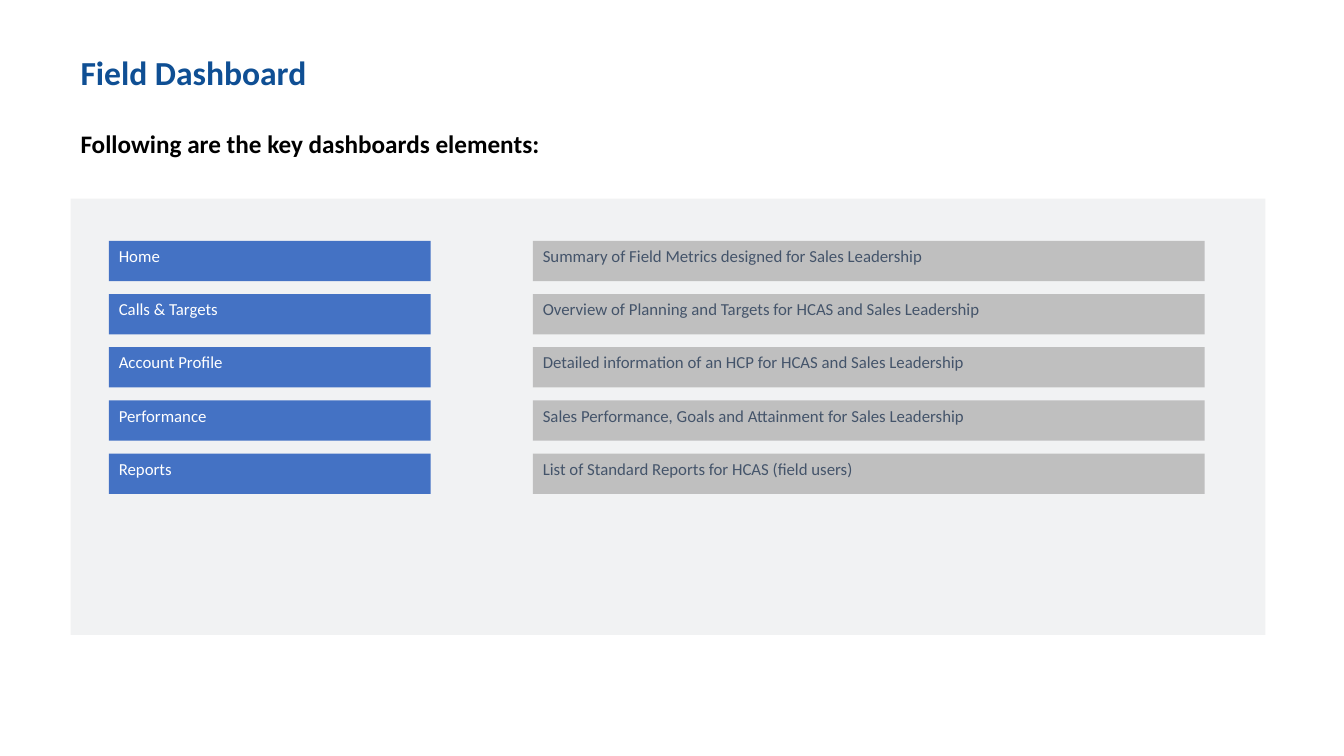
"""Build the Field Dashboard slide, with lengths in percent of the slide's size."""
from dataclasses import dataclass

from pptx import Presentation
from pptx import util as u
from pptx.dml import color
from pptx.enum import shapes, text
from pptx.shapes.autoshape import Shape
from pptx.slide import Slide

WIDE, HIGH = u.Inches(13.33), u.Inches(7.5)
FONT = "Calibri"
HUES = {
    "title": "0F4F94",
    "lead": "000000",
    "panel": "F1F2F3",
    "label": "4472C4",
    "light": "FFFFFF",
    "note": "BFBFBF",
    "slate": "44546A",
}
LEFT = 5.25
TOP, STEP, TALL = 31.87, 7.03, 5.33


@dataclass(frozen=True)
class Box:
    left: float
    top: float
    width: float
    height: float


@dataclass(frozen=True)
class Style:
    size: int
    hue: str
    bold: bool = False
    line: float = 1.0
    anchor: text.MSO_ANCHOR = text.MSO_ANCHOR.TOP


@dataclass(frozen=True)
class Column:
    left: float
    width: float
    fill: str
    style: Style
    words: tuple[str, ...]


HEAD = Style(24, "title", True, 0.9, text.MSO_ANCHOR.MIDDLE)
LEAD = Style(18, "lead", True, 0.9)
COLUMNS = (
    Column(8.1, 23.95, "label", Style(12, "light"), (
        "Home",
        "Calls & Targets",
        "Account Profile",
        "Performance",
        "Reports",
    )),
    Column(39.65, 49.98, "note", Style(12, "slate"), (
        "Summary of Field Metrics designed for Sales Leadership",
        "Overview of Planning and Targets for HCAS and Sales Leadership",
        "Detailed information of an HCP for HCAS and Sales Leadership",
        "Sales Performance, Goals and Attainment for Sales Leadership",
        "List of Standard Reports for HCAS (field users)",
    )),
)


def tint(name: str) -> color.RGBColor:
    return color.RGBColor.from_string(HUES[name])


def place(box: Box) -> tuple[int, int, int, int]:
    return (
        round(WIDE * box.left / 100),
        round(HIGH * box.top / 100),
        round(WIDE * box.width / 100),
        round(HIGH * box.height / 100),
    )


def write(shape: Shape, words: str, style: Style) -> None:
    frame = shape.text_frame
    frame.word_wrap = True
    frame.vertical_anchor = style.anchor
    para = frame.paragraphs[0]
    para.alignment = text.PP_ALIGN.LEFT
    para.line_spacing = style.line
    run = para.add_run()
    run.text = words
    run.font.name = FONT
    run.font.size = u.Pt(style.size)
    run.font.bold = style.bold
    run.font.color.rgb = tint(style.hue)


def add_text(slide: Slide, box: Box, words: str, style: Style) -> None:
    write(slide.shapes.add_textbox(*place(box)), words, style)


def add_block(slide: Slide, box: Box, fill: str) -> Shape:
    block = slide.shapes.add_shape(shapes.MSO_SHAPE.RECTANGLE, *place(box))
    block.shadow.inherit = False
    block.fill.solid()
    block.fill.fore_color.rgb = tint(fill)
    block.line.fill.background()
    return block


def add_column(slide: Slide, column: Column) -> None:
    for row, words in enumerate(column.words):
        box = Box(column.left, TOP + row * STEP, column.width, TALL)
        write(add_block(slide, box, column.fill), words, column.style)


def main() -> None:
    deck = Presentation()
    deck.slide_width, deck.slide_height = WIDE, HIGH
    slide = deck.slides.add_slide(deck.slide_layouts[6])
    add_text(slide, Box(LEFT, 4.4, 86.27, 10.93), "Field Dashboard", HEAD)
    add_text(slide, Box(LEFT, 16.8, 86.27, 63.47),
             "Following are the key dashboards elements:", LEAD)
    add_block(slide, Box(LEFT, 26.27, 88.9, 57.73), "panel")
    for column in COLUMNS:
        add_column(slide, column)
    deck.save("out.pptx")


if __name__ == "__main__":
    main()
